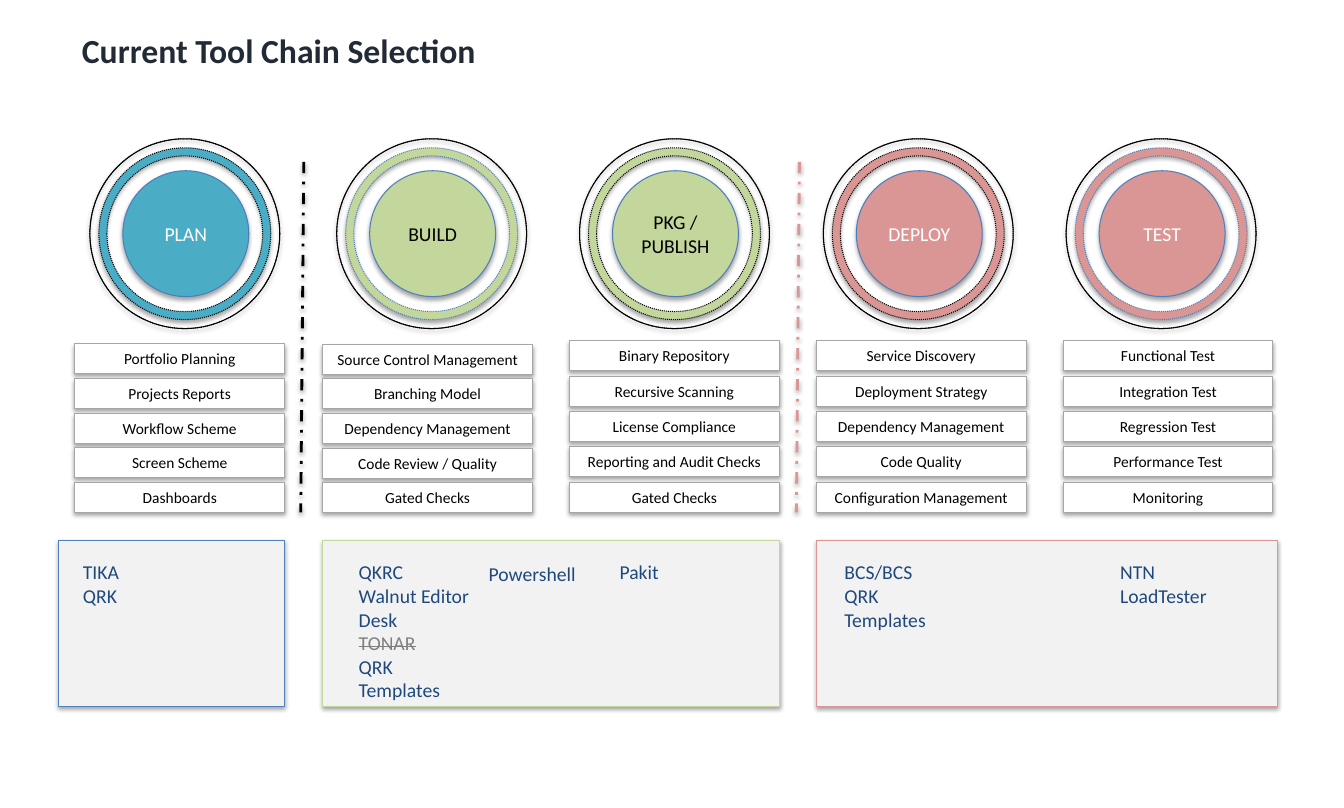
from pptx import Presentation
from pptx.dml.color import RGBColor
from pptx.enum.dml import MSO_LINE
from pptx.enum.shapes import MSO_CONNECTOR, MSO_SHAPE
from pptx.enum.text import MSO_ANCHOR, PP_ALIGN
from pptx.oxml import parse_xml
from pptx.util import Pt

PX = 9045  # EMU in one pixel
TEAL, GREEN, ROSE = "4BACC6", "C3D69B", "D99694"
BLACK, WHITE, BLUE, RIM = "000000", "FFFFFF", "4F81BD", "4B7EBC"
SHADOW = (
    '<a:effectLst xmlns:a="http://schemas.openxmlformats.org/drawingml/2006/main">'
    '<a:outerShdw blurRad="40000" dist="23000" dir="5400000" rotWithShape="0">'
    '<a:srgbClr val="000000"><a:alpha val="35000"/></a:srgbClr>'
    '</a:outerShdw></a:effectLst>'
)
color = RGBColor.from_string

deck = Presentation()
deck.slide_width, deck.slide_height = 1345 * PX, 809 * PX
page = deck.slides.add_slide(deck.slide_layouts[6])


def add_block(kind, left, top, width, height, fill, line):
    block = page.shapes.add_shape(kind, left * PX, top * PX, width * PX, height * PX)
    block.fill.solid()
    block.fill.fore_color.rgb = color(fill)
    block.line.color.rgb = color(line)
    block.line.width = Pt(0.75)
    return block


def write(shape, text, size, ink, align, anchor, side, edge):
    frame = shape.text_frame
    frame.text = text
    frame.word_wrap = True
    frame.vertical_anchor = anchor
    frame.margin_left = frame.margin_right = side * PX
    frame.margin_top = frame.margin_bottom = edge * PX
    for paragraph in frame.paragraphs:
        paragraph.alignment = align
        for span in paragraph.runs:
            span.font.name = "Calibri"
            span.font.size = Pt(size)
            span.font.color.rgb = color(ink)


# Title
title = page.shapes.add_textbox(70 * PX, 22 * PX, 1209 * PX, 57 * PX)
write(title, "Current Tool Chain Selection", 24, "222A35",
      PP_ALIGN.LEFT, MSO_ANCHOR.MIDDLE, 12, 6)
title.text_frame.paragraphs[0].runs[0].font.bold = True

# Stages: name, circle centre, fill, ink, ring line, disc line, box left, first box top, boxes
stages = [
    ("PLAN", 185, TEAL, WHITE, BLACK, RIM, 75, 344,
     ["Portfolio Planning", "Projects Reports", "Workflow Scheme",
      "Screen Scheme", "Dashboards"]),
    ("BUILD", 432, GREEN, BLACK, BLUE, BLUE, 323, 345,
     ["Source Control Management", "Branching Model", "Dependency Management",
      "Code Review / Quality", "Gated Checks"]),
    ("PKG / PUBLISH", 675, GREEN, BLACK, BLACK, RIM, 570, 341,
     ["Binary Repository", "Recursive Scanning", "License Compliance",
      "Reporting and Audit Checks", "Gated Checks"]),
    ("DEPLOY", 919, ROSE, WHITE, BLACK, RIM, 817, 341,
     ["Service Discovery", "Deployment Strategy", "Dependency Management",
      "Code Quality", "Configuration Management"]),
    ("TEST", 1162, ROSE, WHITE, BLUE, BLUE, 1064, 341,
     ["Functional Test", "Integration Test", "Regression Test",
      "Performance Test", "Monitoring"]),
]
middle, last_top = 234, 483
for name, centre, fill, ink, ring_line, disc_line, left, first_top, labels in stages:
    # Two rings around a disc
    for size, hole, line, dash in [(190, 0, BLACK, MSO_LINE.SQUARE_DOT),
                                   (172, 0.047, ring_line, MSO_LINE.ROUND_DOT)]:
        ring = add_block(MSO_SHAPE.DONUT, centre - size // 2, middle - size // 2,
                         size, size, fill, line)
        ring.adjustments[0] = hole
        ring.line.dash_style = dash
    disc = add_block(MSO_SHAPE.OVAL, centre - 62, middle - 63, 126, 126, fill, disc_line)
    write(disc, name, 14, ink, PP_ALIGN.CENTER, MSO_ANCHOR.MIDDLE, 0, 5)

    # Activities below, evenly spaced down to a shared last row
    for row, label in enumerate(labels):
        top = first_top + round(row * (last_top - first_top) / 4)
        activity = add_block(MSO_SHAPE.RECTANGLE, left, top, 210, 30, WHITE, "A6A6A6")
        write(activity, label, 11, BLACK, PP_ALIGN.CENTER, MSO_ANCHOR.MIDDLE, 10, 5)

# Dividers
for start, end, line in [(304, 301, BLACK), (800, 797, ROSE)]:
    divider = page.shapes.add_connector(MSO_CONNECTOR.STRAIGHT, start * PX, 162 * PX,
                                        end * PX, 513 * PX)
    divider.line.color.rgb = color(line)
    divider.line.width = Pt(2)
    divider.line.dash_style = MSO_LINE.DASH_DOT

# Tool panels
for left, width, line in [(59, 226, BLUE), (323, 457, GREEN), (817, 462, ROSE)]:
    add_block(MSO_SHAPE.RECTANGLE, left, 541, width, 166, "F2F2F2", line)

# Every shape and divider casts the same shadow
for shape in page.shapes:
    if shape != title:
        shape.element.spPr.append(parse_xml(SHADOW))

# Tool names
tools = [
    (75, 557, 196, 56, "TIKA\nQRK"),
    (351, 557, 129, 175, "QKRC\nWalnut Editor Desk\nTONAR\nQRK Templates"),
    (612, 557, 139, 80, "Pakit"),
    (837, 557, 129, 152, "BCS/BCS\nQRK Templates"),
    (1113, 557, 126, 127, "NTN\nLoadTester"),
    (481, 559, 129, 32, "Powershell"),
]
for left, top, width, height, names in tools:
    box = page.shapes.add_textbox(left * PX, top * PX, width * PX, height * PX)
    write(box, names, 14, "1F497D", PP_ALIGN.LEFT, MSO_ANCHOR.TOP, 8, 4)
    for paragraph in box.text_frame.paragraphs:
        if paragraph.text == "TONAR":  # dropped tool
            retired = paragraph.runs[0].font
            retired.color.rgb = color("808080")
            retired._element.set("strike", "sngStrike")

deck.save("out.pptx")
